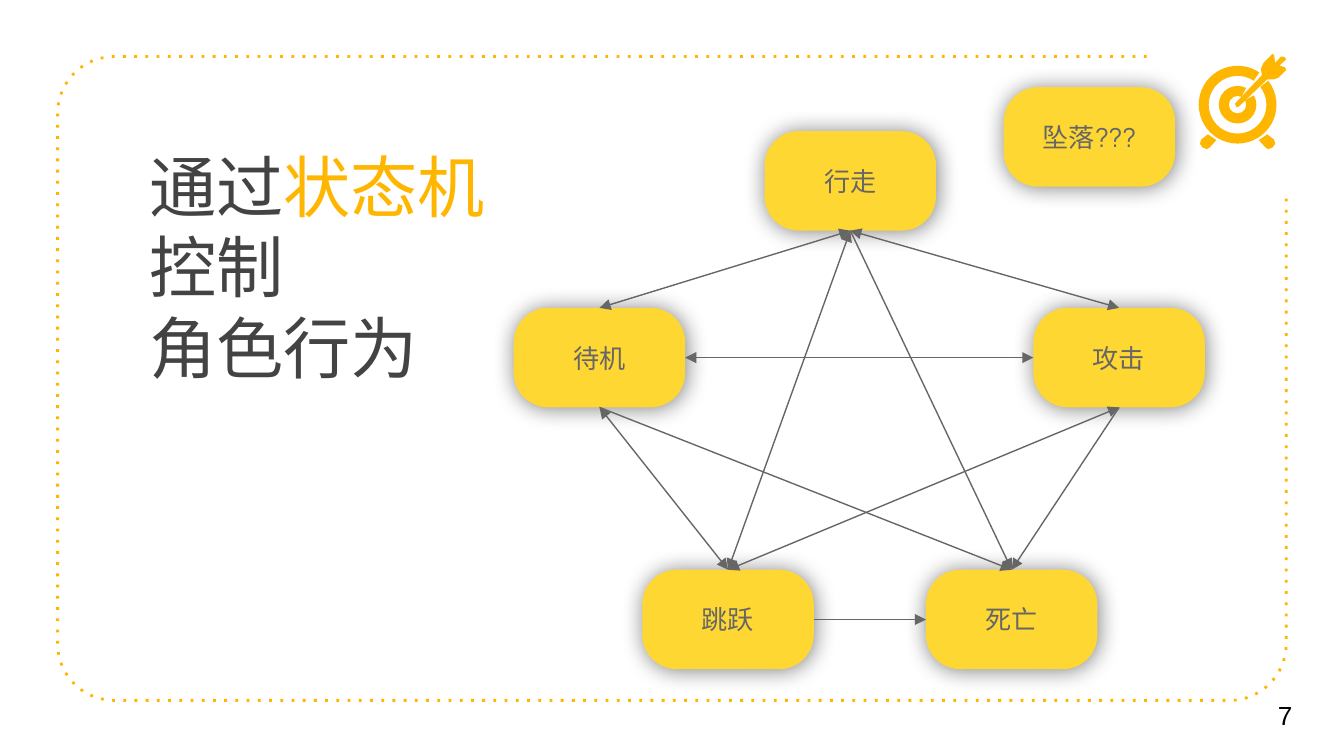
from dataclasses import dataclass
from math import cos, radians, sin

from lxml.etree import SubElement
from pptx import Presentation
from pptx.dml.color import RGBColor as RGB
from pptx.enum.shapes import MSO_CONNECTOR as CXN, MSO_SHAPE as SHAPE
from pptx.enum.text import MSO_ANCHOR as ANCHOR, PP_ALIGN as ALIGN
from pptx.oxml.ns import qn
from pptx.util import Cm, Pt

TOP, LEFT, BOTTOM, RIGHT = range(4)


@dataclass(frozen=True)
class Theme:
    accent: str = "FFB600"
    state: str = "FFD733"
    dark: str = "434343"
    gray: str = "666666"
    black: str = "000000"
    font: str = "Manrope"
    number_font: str = "Arial"
    title_size: float = 36
    body_size: float = 14
    frame_width: float = 1.5
    link_width: float = 0.75


def style(obj, fmt):
    for name, value in fmt.items():
        setattr(obj, name, value)


def sub(parent, tag, **attrs):
    return SubElement(parent, qn(tag), {k: str(v) for k, v in attrs.items()})


class Board:
    def __init__(self, slide, theme):
        self.s, self.t = slide, theme

    def paint(self, sp, color):
        sp.shadow.inherit = False
        sp.fill.solid()
        sp.fill.fore_color.rgb = RGB.from_string(color)
        sp.line.fill.background()

    def put_lines(self, sp, lines, size, font, anchor=ANCHOR.MIDDLE, align=ALIGN.LEFT):
        tf = sp.text_frame
        sides = ("left", "top", "right", "bottom")
        style(tf, {"word_wrap": True, "vertical_anchor": anchor,
                   **{f"margin_{side}": Cm(0.25) for side in sides}})
        for i, line in enumerate(lines):
            p = tf.add_paragraph() if i else tf.paragraphs[0]
            p.alignment = align
            for text, color in line:
                r = p.add_run()
                r.text = text
                style(r.font, {"size": Pt(size), "name": font})
                r.font.color.rgb = RGB.from_string(color)

    def text(self, box, lines, size, font, anchor):
        sp = self.s.shapes.add_textbox(*map(Cm, box))
        self.put_lines(sp, lines, size, font, anchor)

    def outline(self, points, close=True):
        pts = [(Cm(x), Cm(y)) for x, y in points]
        fb = self.s.shapes.build_freeform(*pts[0], scale=1.0)
        fb.add_line_segments(pts[1:], close=close)
        return fb.convert_to_shape()

    def solid(self, points):
        self.paint(self.outline(points), self.t.accent)

    def frame(self, left, top, right, bottom, radius, start, end):
        corners = ((left + radius, top + radius, 270),
                   (left + radius, bottom - radius, 180),
                   (right - radius, bottom - radius, 90))
        arcs = [(cx + radius * cos(radians(first - step)),
                 cy + radius * sin(radians(first - step)))
                for cx, cy, first in corners for step in range(0, 91, 6)]
        sp = self.outline([start, *arcs, end], close=False)
        sp.shadow.inherit = False
        sp.fill.background()
        sp.line.color.rgb = RGB.from_string(self.t.accent)
        sp.line.width = Pt(self.t.frame_width)
        sub(sp._element.spPr.find(qn("a:ln")), "a:prstDash", val="dot")

    def ring(self, cx, cy, size, band, gap_end, gap_start):
        sp = self.s.shapes.add_shape(SHAPE.BLOCK_ARC, Cm(cx - size / 2),
                                     Cm(cy - size / 2), Cm(size), Cm(size))
        for i, value in enumerate((gap_end * 0.6, gap_start * 0.6, band / size)):
            sp.adjustments[i] = value
        self.paint(sp, self.t.accent)

    def state(self, name, x, y):
        sp = self.s.shapes.add_shape(SHAPE.ROUNDED_RECTANGLE,
                                     Cm(x), Cm(y), Cm(3.24), Cm(1.88))
        sp.adjustments[0] = 0.345
        self.paint(sp, self.t.state)
        effects = sp._element.spPr.find(qn("a:effectLst"))
        shadow = sub(effects, "a:outerShdw", blurRad=Pt(12.4), dist=Pt(0.8),
                     dir=45 * 60000, algn="bl", rotWithShape=0)
        color = sub(shadow, "a:srgbClr", val=self.t.black)
        sub(color, "a:alpha", val=50000)
        self.put_lines(sp, [[(name, self.t.gray)]], self.t.body_size, self.t.font,
                       align=ALIGN.CENTER)
        return sp

    def link(self, source, source_site, target, target_site, both=True):
        cx = self.s.shapes.add_connector(CXN.STRAIGHT, 0, 0, 0, 0)
        cx.begin_connect(source, source_site)
        cx.end_connect(target, target_site)
        cx.line.color.rgb = RGB.from_string(self.t.gray)
        cx.line.width = Pt(self.t.link_width)
        sp_pr = cx._element.spPr
        for tag in ("a:headEnd", "a:tailEnd") if both else ("a:tailEnd",):
            sub(sp_pr.find(qn("a:ln")), tag, type="triangle", w="med", len="med")
        sub(sp_pr, "a:effectLst")


def draw_target(b):
    cx, cy = 23.39, 1.98
    b.ring(cx, cy, 1.47, 0.19, 322, 304)
    b.ring(cx, cy, 0.71, 0.19, 330, 297)
    foot = [(22.83, 2.54), (22.7, 2.64), (22.68, 2.72), (22.73, 2.79),
            (22.81, 2.82), (22.86, 2.79), (22.99, 2.65)]
    b.solid(foot)
    b.solid([(2 * cx - x, y) for x, y in foot])
    b.solid([(24.05, 1.02), (23.88, 1.19), (23.83, 1.3), (23.85, 1.42),
             (23.34, 1.96), (23.37, 2.03), (23.42, 2.01), (23.95, 1.5),
             (24.08, 1.5), (24.16, 1.47), (24.31, 1.32), (24.28, 1.27),
             (24.18, 1.24), (24.31, 1.12), (24.26, 1.07), (24.21, 1.07),
             (24.1, 1.19), (24.08, 1.04)])


def main():
    prs = Presentation()
    prs.slide_width, prs.slide_height = Cm(25.4), Cm(14.29)
    t = Theme()
    b = Board(prs.slides.add_slide(prs.slide_layouts[6]), t)

    b.frame(1.09, 1.07, 24.31, 13.24, 1.07, (21.67, 1.07), (24.31, 3.71))
    b.text((23.9, 12.75, 1.5, 1.52), [[("7", t.black)]],
           t.body_size, t.number_font, ANCHOR.MIDDLE)
    draw_target(b)
    b.text((2.57, 2.49, 7.54, 2.39),
           [[("通过", t.dark), ("状态机", t.accent)],
            [("控制", t.dark)],
            [("角色行为", t.dark)]],
           t.title_size, t.font, ANCHOR.TOP)

    idle = b.state("待机", 9.71, 5.82)
    walk = b.state("行走", 14.45, 2.48)
    attack = b.state("攻击", 19.53, 5.82)
    jump = b.state("跳跃", 12.14, 10.77)
    death = b.state("死亡", 17.5, 10.77)

    b.link(idle, TOP, walk, BOTTOM)
    b.link(walk, BOTTOM, attack, TOP)
    b.link(walk, BOTTOM, death, TOP, both=False)
    b.link(walk, BOTTOM, jump, TOP)
    b.link(attack, BOTTOM, death, TOP, both=False)
    b.link(idle, BOTTOM, jump, TOP)
    b.link(idle, RIGHT, attack, LEFT)
    b.link(jump, RIGHT, death, LEFT, both=False)
    b.link(jump, TOP, attack, BOTTOM)
    b.link(idle, BOTTOM, death, TOP, both=False)

    b.state("坠落???", 18.97, 1.65)
    prs.save("out.pptx")


if __name__ == "__main__":
    main()
